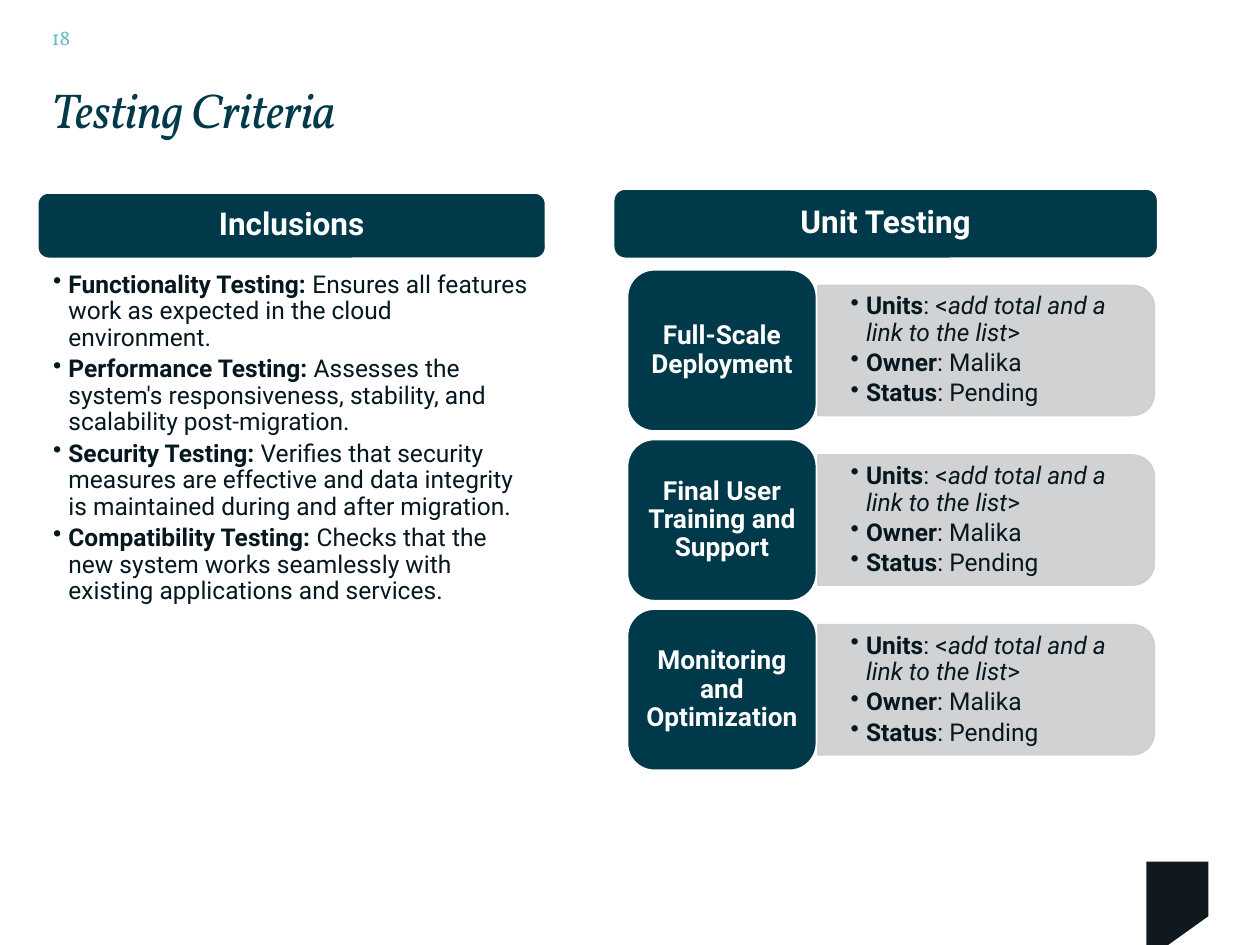
from lxml.etree import SubElement
from pptx import Presentation
from pptx.dml.color import RGBColor
from pptx.enum.shapes import MSO_SHAPE as Shape
from pptx.enum.text import MSO_ANCHOR as Anchor, PP_ALIGN as Align
from pptx.oxml.ns import qn
from pptx.util import Cm, Pt

COLORS = {
    "teal": "00394A",
    "sky": "6BB9C9",
    "ink": "06171F",
    "gray": "CCCED0",
    "black": "101820",
    "white": "FFFFFF",
}
COLORS = {name: RGBColor.from_string(value) for name, value in COLORS.items()}

INCLUSIONS = [
    [("Functionality Testing:", "b"),
     (" Ensures all features work as expected in the cloud environment.", "")],
    [("Performance Testing:", "b"),
     (" Assesses the system's responsiveness, stability, and scalability post-migration.", "")],
    [("Security Testing:", "b"),
     (" Verifies that security measures are effective and data integrity is "
      "maintained during and after migration.", "")],
    [("Compatibility Testing:", "b"),
     (" Checks that the new system works seamlessly with existing applications and services.", "")],
]
UNIT_DETAILS = [
    [("Units", "b"), (": <", ""), ("add total and a link to the list", "i"), (">", "")],
    [("Owner", "b"), (": Malika", "")],
    [("Status", "b"), (": Pending", "")],
]
PHASES = [
    "Full-Scale Deployment",
    "Final User Training and Support",
    "Monitoring and Optimization",
]


def fill_text(shape, paragraphs, size, color, margins, font="Roboto", spacing=0.9,
              anchor=Anchor.MIDDLE, align=Align.LEFT, bullet_gap=None):
    """Write paragraphs of (text, style) runs; bullet_gap adds bullets with that space after."""
    text_frame = shape.text_frame
    text_frame.word_wrap = True
    text_frame.vertical_anchor = anchor
    text_frame.margin_left = text_frame.margin_right = Cm(margins[0])
    text_frame.margin_top = text_frame.margin_bottom = Cm(margins[1])
    for index, runs in enumerate(paragraphs):
        paragraph = text_frame.add_paragraph() if index else text_frame.paragraphs[0]
        paragraph.alignment = align
        paragraph.line_spacing = spacing
        if bullet_gap is not None:
            properties = paragraph._p.get_or_add_pPr()
            properties.set("marL", str(Cm(0.31)))
            properties.set("indent", str(-Cm(0.31)))
            SubElement(properties, qn("a:buChar")).set("char", "•")
            paragraph.space_after = Pt(bullet_gap)
        for text, style in runs:
            run = paragraph.add_run()
            run.text = text
            run.font.name = font
            run.font.size = Pt(size)
            run.font.bold = "b" in style
            run.font.italic = "i" in style
            run.font.color.rgb = COLORS[color]


def add_block(kind, left, top, width, height, color, line_color):
    shape = slide.shapes.add_shape(kind, Cm(left), Cm(top), Cm(width), Cm(height))
    shape.shadow.inherit = False
    shape.fill.solid()
    shape.fill.fore_color.rgb = COLORS[color]
    shape.line.color.rgb = COLORS[line_color]
    shape.line.width = Pt(1)
    return shape


presentation = Presentation()
presentation.slide_width = Cm(25.4)
presentation.slide_height = Cm(19.05)
slide = presentation.slides.add_slide(presentation.slide_layouts[6])

# Page number and title
page_number = slide.shapes.add_textbox(Cm(0.86), Cm(0.23), Cm(1.52), Cm(1.02))
fill_text(page_number, [[("18", "")]], 12, "sky", (0.18, 0.1), font="Vollkorn", spacing=1.0)

title = slide.shapes.add_textbox(Cm(1.04), Cm(1.78), Cm(6.63), Cm(1.04))
fill_text(title, [[("Testing Criteria", "i")]], 28, "teal", (0, 0), font="Vollkorn",
          spacing=0.86, anchor=Anchor.TOP)
title.text_frame.word_wrap = False
title.text_frame.paragraphs[0].runs[0].font._element.set("spc", "-30")

# Plain pennant in the bottom corner
builder = slide.shapes.build_freeform(Cm(24.36), Cm(18.47))
builder.add_line_segments([(Cm(x), Cm(y)) for x, y in
                           [(24.36, 17.37), (23.11, 17.37), (23.11, 19.05), (23.55, 19.05)]])
pennant = builder.convert_to_shape()
pennant.shadow.inherit = False
pennant.fill.solid()
pennant.fill.fore_color.rgb = COLORS["black"]
pennant.line.fill.background()

# Column headings
for heading, left, top, width, height in [
    ("Inclusions", 0.76, 3.89, 10.24, 1.32),
    ("Unit Testing", 12.37, 3.81, 10.97, 1.4),
]:
    banner = add_block(Shape.ROUNDED_RECTANGLE, left, top, width, height, "teal", "white")
    fill_text(banner, [[(heading, "b")]], 18, "white", (0.17, 0.17), align=Align.CENTER)

# Left column
inclusions = slide.shapes.add_textbox(Cm(0.76), Cm(5.44), Cm(10.24), Cm(8.18))
fill_text(inclusions, INCLUSIONS, 14, "ink", (0.31, 0.05), anchor=Anchor.TOP, bullet_gap=2.8)

# Right column: a card over a gray panel for each phase
CARD_HEIGHT, CARD_PITCH, FIRST_CARD_TOP = 3.25, 3.42, 5.44
PANEL_WIDTH, PANEL_HEIGHT, PANEL_CENTER = 6.78, 2.62, 19.88
DETAILS_HEIGHT = 2.36

for index, phase in enumerate(PHASES):
    card_top = FIRST_CARD_TOP + index * CARD_PITCH
    middle = card_top + CARD_HEIGHT / 2

    # The panel stands upright before its quarter turn
    panel = add_block(Shape.ROUND_2_SAME_RECTANGLE, PANEL_CENTER - PANEL_HEIGHT / 2,
                      middle - PANEL_WIDTH / 2, PANEL_HEIGHT, PANEL_WIDTH, "gray", "gray")
    panel.rotation = 90
    for color in panel._element.spPr.iter(qn("a:srgbClr")):
        SubElement(color, qn("a:alpha")).set("val", "90000")

    details = slide.shapes.add_textbox(Cm(16.46), Cm(middle - DETAILS_HEIGHT / 2),
                                       Cm(6.65), Cm(DETAILS_HEIGHT))
    fill_text(details, UNIT_DETAILS, 14, "ink", (0.69, 0.36), bullet_gap=2.1)

    card = add_block(Shape.ROUNDED_RECTANGLE, 12.65, card_top, 3.81, CARD_HEIGHT,
                     "teal", "white")
    fill_text(card, [[(phase, "b")]], 15, "white", (0.15, 0.08), align=Align.CENTER)

presentation.save("out.pptx")
